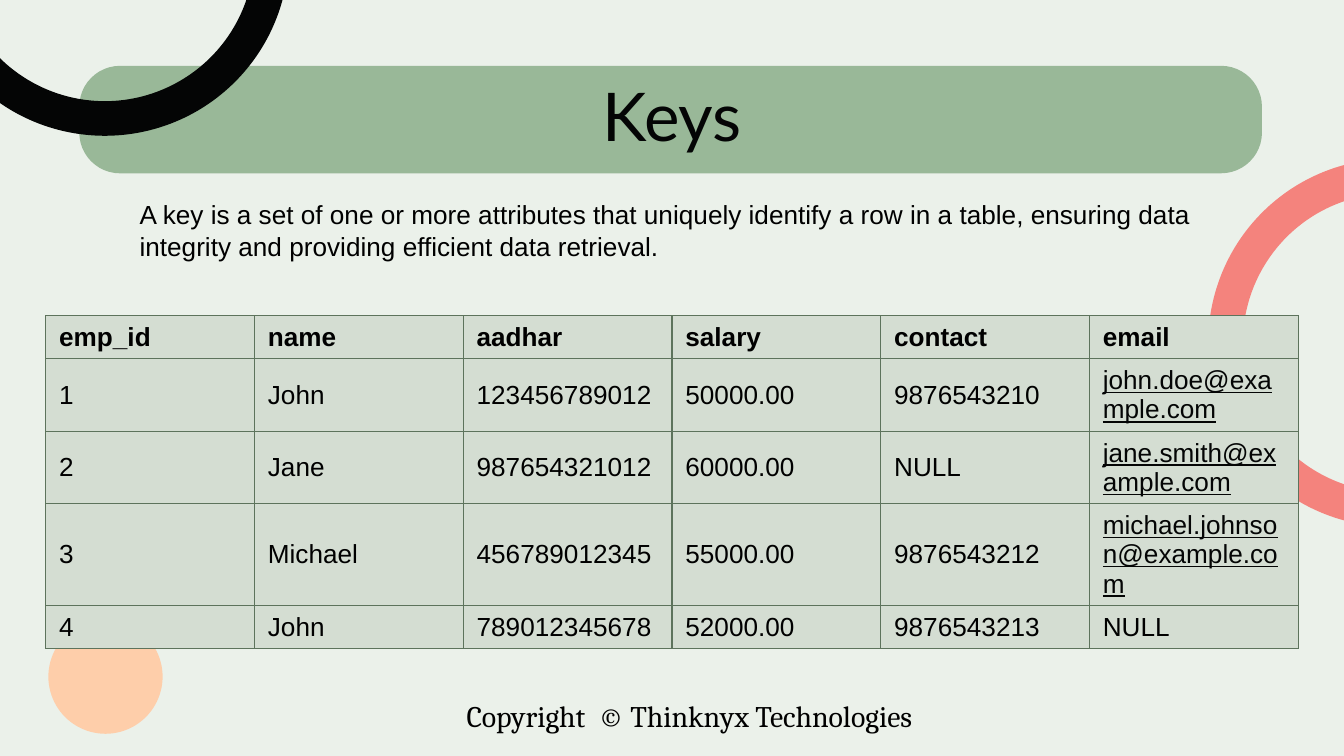
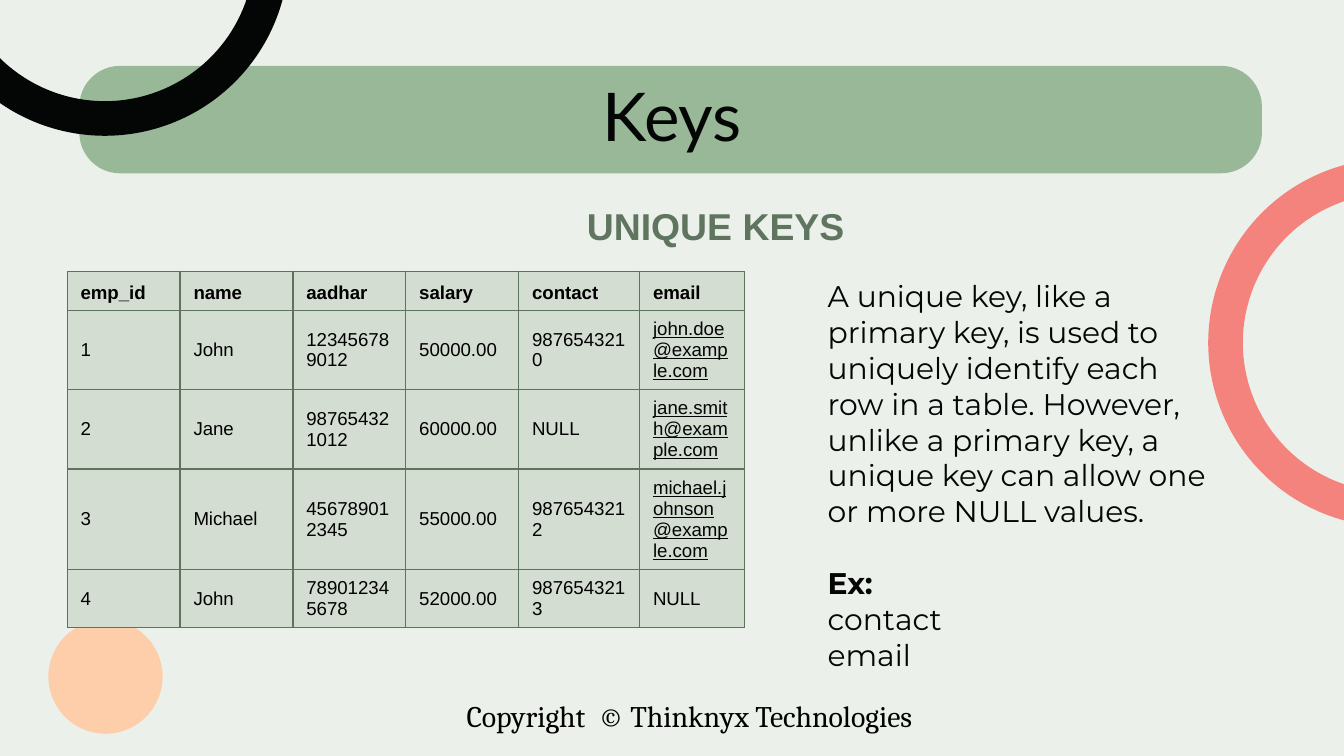
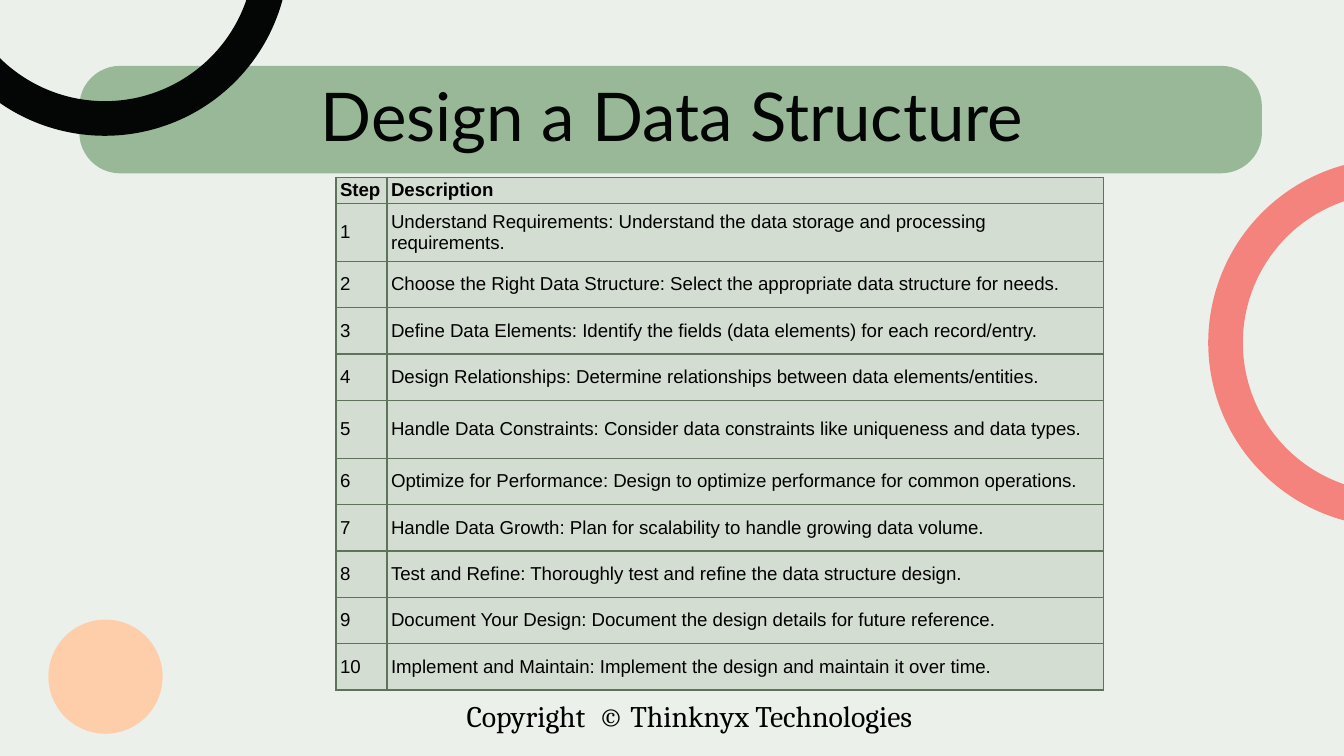
from lxml.etree import SubElement
from pptx import Presentation
from pptx.dml.color import RGBColor
from pptx.enum.shapes import MSO_SHAPE
from pptx.enum.text import MSO_ANCHOR, MSO_AUTO_SIZE, PP_ALIGN
from pptx.oxml.ns import qn
from pptx.util import Inches, Pt

# Shared colours and fonts
PAPER, SAGE, PEACH, CORAL = "EBF1EA", "99B898", "FECEAA", "F4837D"
INK, BLACK, MOSS, LINE, CELL = "040505", "000000", "60755F", "5D735C", "D4DDD2"
SANS, SERIF, HEAD, BODY = "Arial", "Cambria", "Lato", "Montserrat"

# Table content
STAFF = [
    ["emp_id", "name", "aadhar", "salary", "contact", "email"],
    ["1", "John", "123456789012", "50000.00", "9876543210", "john.doe@example.com"],
    ["2", "Jane", "987654321012", "60000.00", "NULL", "jane.smith@example.com"],
    ["3", "Michael", "456789012345", "55000.00", "9876543212", "michael.johnson@example.com"],
    ["4", "John", "789012345678", "52000.00", "9876543213", "NULL"],
]
TASKS = [
    "Understand Requirements: Understand the data storage and processing requirements.",
    "Choose the Right Data Structure: Select the appropriate data structure for needs.",
    "Define Data Elements: Identify the fields (data elements) for each record/entry.",
    "Design Relationships: Determine relationships between data elements/entities.",
    "Handle Data Constraints: Consider data constraints like uniqueness and data types.",
    "Optimize for Performance: Design to optimize performance for common operations.",
    "Handle Data Growth: Plan for scalability to handle growing data volume.",
    "Test and Refine: Thoroughly test and refine the data structure design.",
    "Document Your Design: Document the design details for future reference.",
    "Implement and Maintain: Implement the design and maintain it over time.",
]
STEPS = [["Step", "Description"]] + [[str(i), task] for i, task in enumerate(TASKS, 1)]


def color(code):
    return RGBColor.from_string(code)


def place(*sides):
    return [Inches(side) for side in sides]


class Deck:
    def __init__(self):
        self.file = Presentation()
        self.file.slide_width = Inches(10)
        self.file.slide_height = Inches(10) * 9 // 16
        self.slide = None

    def style(self, par, size, font=SANS, tint=BLACK, bold=False, under=False):
        for run in par.runs:
            run.font.size = Pt(size)
            run.font.name = font
            run.font.bold = bold
            run.font.underline = under
            run.font.color.rgb = color(tint)

    def shape(self, kind, area, fill, turn=0, knobs=()):
        item = self.slide.shapes.add_shape(kind, *place(*area))
        item.shadow.inherit = False
        item.fill.solid()
        item.fill.fore_color.rgb = color(fill)
        item.line.fill.background()
        item.rotation = turn
        for i, knob in enumerate(knobs):
            item.adjustments[i] = knob

    def text(self, area, lines, size, font=SANS, tint=BLACK, bold=False,
             align=PP_ALIGN.LEFT, wrap=True):
        frame = self.slide.shapes.add_textbox(*place(*area)).text_frame
        frame.word_wrap = wrap
        frame.auto_size = MSO_AUTO_SIZE.SHAPE_TO_FIT_TEXT
        frame.text = "\n".join(lines)
        for par in frame.paragraphs:
            par.alignment = align
            self.style(par, size, font, tint, bold)
        return frame

    def title(self, text):
        head = self.slide.shapes.title
        head.left, head.top, head.width, head.height = place(0.78, 0.67, 8.44, 0.47)
        frame = head.text_frame
        frame.margin_left = frame.margin_right = frame.margin_top = frame.margin_bottom = 0
        frame.auto_size = MSO_AUTO_SIZE.NONE
        frame.vertical_anchor = MSO_ANCHOR.TOP
        frame.text = text
        par = frame.paragraphs[0]
        par.alignment = PP_ALIGN.CENTER
        par.line_spacing = 0.8
        self.style(par, 36, HEAD, INK)
        self.slide.shapes.element.append(head.element)  # in front of the band

    def page(self, title):
        self.slide = self.file.slides.add_slide(self.file.slide_layouts[5])
        ground = self.slide.background.fill
        ground.solid()
        ground.fore_color.rgb = color(PAPER)
        # Footer, title band, dot and rings
        self.text((3.14, 5.14, 3.98, 0.37), ["Copyright  © Thinknyx Technologies"], 16,
                  SERIF, align=PP_ALIGN.CENTER, wrap=False)
        self.shape(MSO_SHAPE.ROUNDED_RECTANGLE, (0.59, 0.49, 8.8, 0.8), SAGE, knobs=[0.38])
        self.shape(MSO_SHAPE.OVAL, (0.36, 4.61, 0.85, 0.85), PEACH)
        ring = [108, 0.44, 0.094]
        for left, top, fill, turn in ((8.99, 1.18, CORAL, 270), (-0.59, -1.73, INK, 180)):
            self.shape(MSO_SHAPE.BLOCK_ARC, (left, top, 2.74, 2.74), fill, turn, ring)
        self.title(title)

    def border(self, cell):
        props = cell._tc.get_or_add_tcPr()
        for side in ("a:lnL", "a:lnR", "a:lnT", "a:lnB"):
            line = SubElement(props, qn(side), w=str(Pt(0.75)))
            fill = SubElement(line, qn("a:solidFill"))
            SubElement(fill, qn("a:srgbClr"), val=LINE)

    def table(self, left, top, cols, rows, data, size, inset=(0.1, 0.05)):
        area = place(left, top, sum(cols), sum(rows))
        grid = self.slide.shapes.add_table(len(rows), len(cols), *area).table
        grid.first_row = grid.horz_banding = False
        for col, width in zip(grid.columns, cols):
            col.width = Inches(width)
        for r, (row, height) in enumerate(zip(grid.rows, rows)):
            row.height = Inches(height)
            for cell, text in zip(row.cells, data[r]):
                self.border(cell)
                cell.fill.solid()
                cell.fill.fore_color.rgb = color(CELL)
                cell.margin_left = cell.margin_right = Inches(inset[0])
                cell.margin_top = cell.margin_bottom = Inches(inset[1])
                cell.vertical_anchor = MSO_ANCHOR.MIDDLE if r else MSO_ANCHOR.BOTTOM
                cell.text = text
                mail = "@" in text
                self.style(cell.text_frame.paragraphs[0], size, tint=INK if mail else BLACK,
                           bold=r == 0, under=mail)


def main():
    deck = Deck()

    # Slide 1: what a key is
    deck.page("Keys")
    deck.table(0.34, 2.35, [9.32 / 6] * 6, [0.32, 0.54, 0.54, 0.75, 0.32], STAFF, 14)
    deck.text((0.94, 1.43, 8.13, 0.57), [
        "A key is a set of one or more attributes that uniquely identify a row in a table, "
        "ensuring data integrity and providing efficient data retrieval."], 14)

    # Slide 2: unique keys
    deck.page("Keys")
    deck.table(0.5, 2.02, [0.84] * 4 + [0.9, 0.78], [0.29, 0.59, 0.59, 0.75, 0.43], STAFF, 10)
    deck.text((3.67, 1.46, 3.31, 0.44), ["UNIQUE KEYS"], 20, tint=MOSS, bold=True,
              align=PP_ALIGN.CENTER)
    note = deck.text((6.06, 2.02, 3.05, 3.06), [
        "A unique key, like a primary key, is used to uniquely identify each row in a table. "
        "However, unlike a primary key, a unique key can allow one or more NULL values.",
        "Ex:", "contact", "email"], 16, BODY, INK)
    label = note.paragraphs[1]
    label.space_before = Pt(19.2)
    deck.style(label, 16, BODY, INK, bold=True)

    # Slide 3: design steps
    deck.page("Design a Data Structure")
    first, tall = 0.19, 0.43
    short = (3.81 - first - 2 * tall) / 8
    rows = [first] + [tall if step in (1, 5) else short for step in range(1, 11)]
    deck.table(2.5, 1.32, [0.38, 5.33], rows, STEPS, 10, inset=(0.03, 0.02))

    deck.file.save("out.pptx")


if __name__ == "__main__":
    main()
